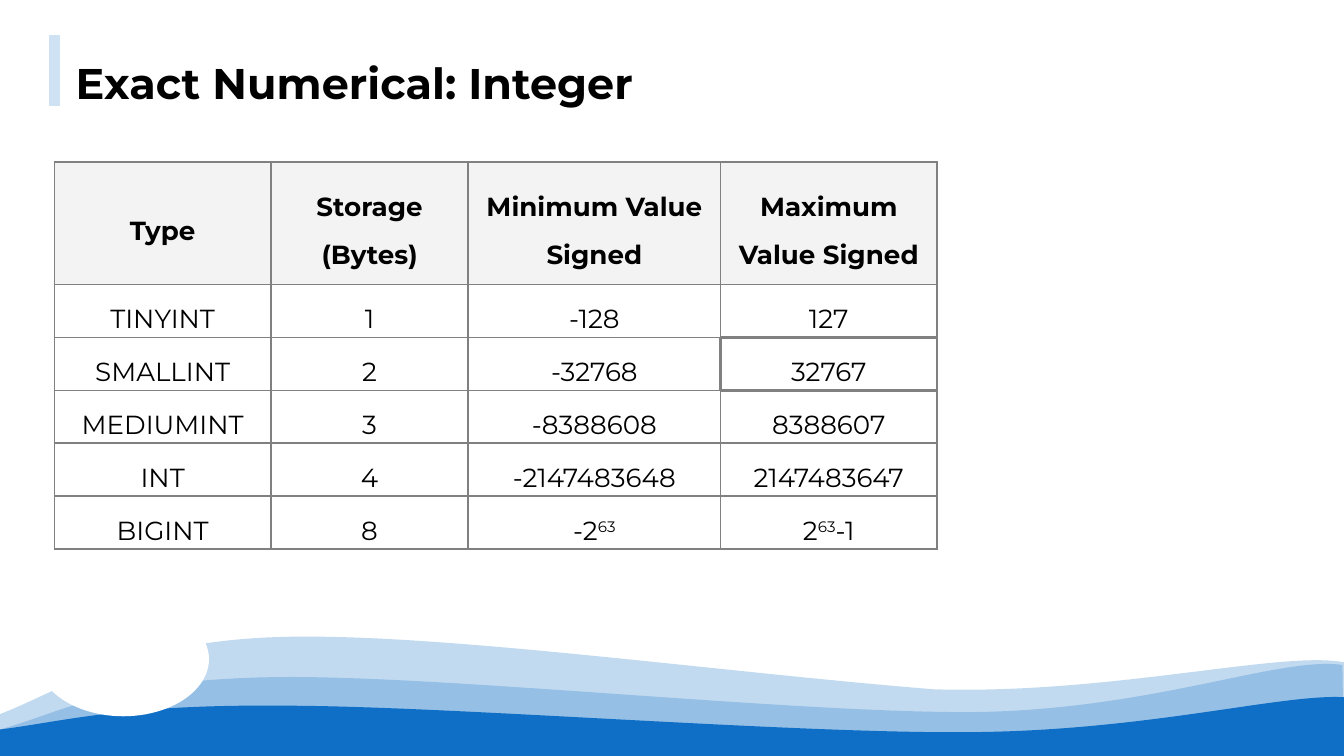
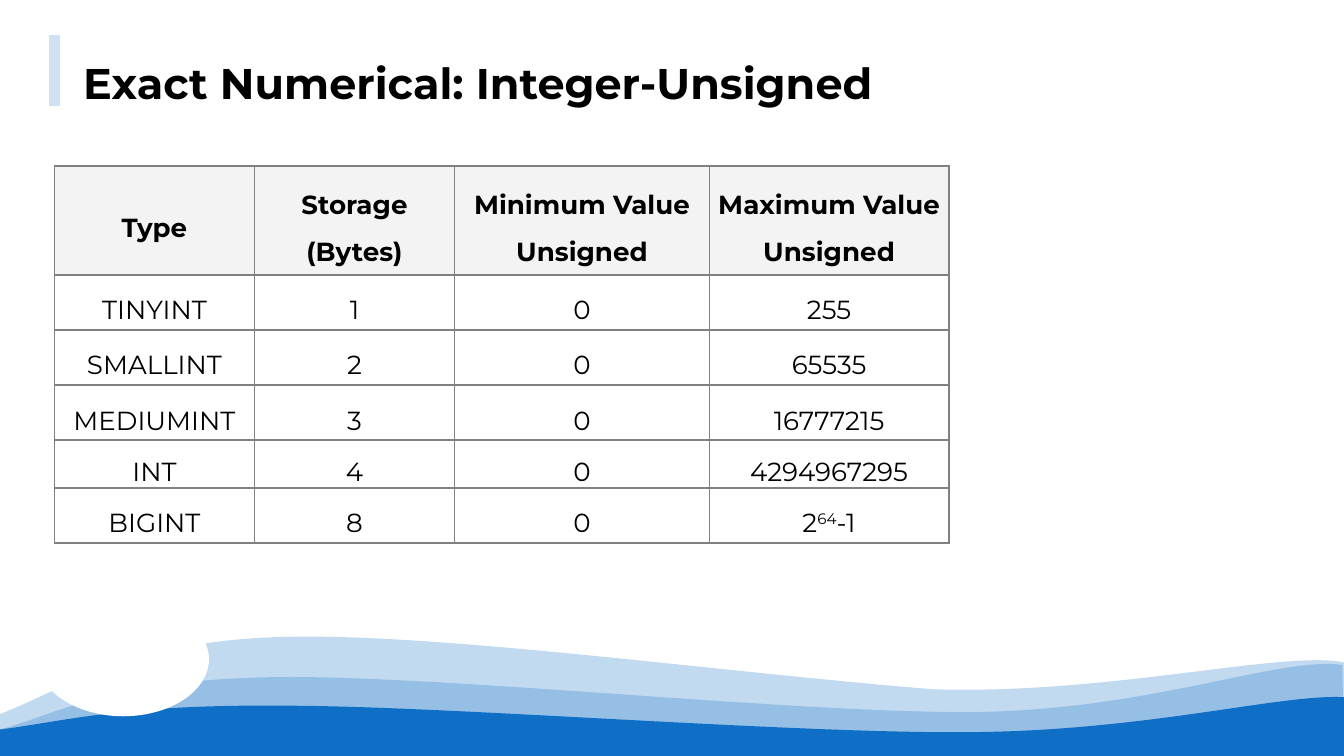
import pptx
import pptx.util
import pptx.dml.color
import pptx.enum.shapes
import pptx.enum.text
import pptx.oxml
import pptx.oxml.ns

Cm = pptx.util.Cm
Pt = pptx.util.Pt
RGB = pptx.dml.color.RGBColor
ALIGN = pptx.enum.text.PP_ALIGN
ANCHOR = pptx.enum.text.MSO_ANCHOR
SPACE = pptx.oxml.ns.nsdecls("a")
qn = pptx.oxml.ns.qn

BLACK = RGB(0x00, 0x00, 0x00)
WHITE = RGB(0xFF, 0xFF, 0xFF)
BLUE = RGB(0x0F, 0x6F, 0xC6)
PALE = RGB(0xCF, 0xE2, 0xF3)
LIGHT = RGB(0xF3, 0xF3, 0xF3)
GRAY = RGB(0x80, 0x80, 0x80)
FONT = "Montserrat"
WIDE, HIGH = 25.4, 14.29
LEFT = 1.03
THIN, HEAD, THICK = 1.02, 1.06, 1.5

WAVES = [
    (25, [(-0.03, 13.51), (1.17, 13.06), (2.39, 12.12), (5.33, 12.04),
          (8.28, 11.96), (13.54, 12.7), (17.65, 13.03),
          (21.01, 13.13), (24.23, 12.29), (25.4, 12.52)]),
    (25, [(0, 13.79), (1.19, 13.46), (2.11, 12.85), (5.18, 12.8),
          (8.26, 12.75), (15.09, 13.49), (18.44, 13.46),
          (21.82, 13.41), (24.18, 12.4), (25.37, 12.57)]),
    (100, [(0, 13.79), (1.19, 13.64), (2.31, 13.31), (5.36, 13.34),
           (8.41, 13.34), (14.99, 13.87), (18.31, 13.84),
           (21.67, 13.82), (24.23, 13.11), (25.4, 13.18)]),
]

SLIDES = [
    {
        "title": "Exact Numerical: Integer",
        "box": (1.33, 0.83, 14.45, 1.35),
        "top": 3.06,
        "cols": [4.09, 3.73, 4.77, 4.09],
        "rows": [2.32] + [1] * 5,
        "thick": (2, 3),
        "cells": [
            ("Type", "Storage (Bytes)", "Minimum Value Signed", "Maximum Value Signed"),
            ("TINYINT", "1", "-128", "127"),
            ("SMALLINT", "2", "-32768", "32767"),
            ("MEDIUMINT", "3", "-8388608", "8388607"),
            ("INT", "4", "-2147483648", "2147483647"),
            ("BIGINT", "8", "-2^63", "2^63^-1"),
        ],
    },
    {
        "title": "Exact Numerical: Integer-Unsigned",
        "box": (1.47, 0.83, 17.81, 0.99),
        "top": 3.14,
        "cols": [3.78, 3.78, 4.82, 4.52],
        "rows": [2.06, 1.04, 1.04, 1.04, 0.76, 1.04],
        "thick": None,
        "cells": [
            ("Type", "Storage (Bytes)", "Minimum Value Unsigned", "Maximum Value Unsigned"),
            ("TINYINT", "1", "0", "255"),
            ("SMALLINT", "2", "0", "65535"),
            ("MEDIUMINT", "3", "0", "16777215"),
            ("INT", "4", "0", "4294967295"),
            ("BIGINT", "8", "0", "2^64^-1"),
        ],
    },
]


def write(frame, text, size=14, bold=False, align=ALIGN.CENTER, space=1.5):
    para = frame.paragraphs[0]
    para.alignment = align
    para.line_spacing = space
    para.space_before = para.space_after = Pt(0)
    for i, part in enumerate(text.split("^")):
        run = para.add_run()
        run.text = part
        run.font.name = FONT
        run.font.size = Pt(size)
        run.font.bold = bold
        run.font.color.rgb = BLACK
        if i % 2:
            run.font._element.set("baseline", "30000")


def pad(item, side, ends):
    item.margin_left = item.margin_right = Cm(side)
    item.margin_top = item.margin_bottom = Cm(ends)


def paint(shape, color, alpha=100):
    shape.shadow.inherit = False
    shape.line.fill.background()
    shape.fill.solid()
    shape.fill.fore_color.rgb = color
    if alpha < 100:
        tone = shape._element.spPr.find(".//" + qn("a:srgbClr"))
        tone.append(pptx.oxml.parse_xml(f'<a:alpha {SPACE} val="{alpha * 1000}"/>'))


def bend(shape, knots):
    trail = shape._element.spPr.find(".//" + qn("a:path"))
    for i, line in enumerate(trail.findall(qn("a:lnTo"))[:len(knots) // 3]):
        marks = "".join(
            f'<a:pt x="{Cm(x) - shape.left}" y="{Cm(y) - shape.top}"/>'
            for x, y in knots[3 * i + 1:3 * i + 4])
        trail.replace(line, pptx.oxml.parse_xml(
            f"<a:cubicBezTo {SPACE}>{marks}</a:cubicBezTo>"))


def draw_sea(slide):
    parts = []
    for alpha, knots in WAVES:
        line = knots[::3] + [(WIDE, HIGH), (0, HIGH)]
        points = [(Cm(x), Cm(y)) for x, y in line]
        pen = slide.shapes.build_freeform(*points[0], scale=1.0)
        pen.add_line_segments(points[1:], close=True)
        wave = pen.convert_to_shape()
        bend(wave, knots)
        paint(wave, BLUE, alpha)
        parts.append(wave)
    oval = slide.shapes.add_shape(
        pptx.enum.shapes.MSO_SHAPE.OVAL, Cm(0.71), Cm(11.38), Cm(3.24), Cm(2.16))
    paint(oval, WHITE)
    tree = slide.slide_layout.shapes._spTree
    for i, part in enumerate(parts + [oval]):
        tree.insert(2 + i, part._element)


def draw_title(slide, text, box):
    title = slide.shapes.title
    title.left, title.top, title.width, title.height = map(Cm, box)
    frame = title.text_frame
    frame.word_wrap = True
    frame.auto_size = pptx.enum.text.MSO_AUTO_SIZE.NONE
    frame.vertical_anchor = ANCHOR.TOP
    pad(frame, 0.1, 0.1)
    write(frame, text, size=23, bold=True, align=ALIGN.LEFT, space=1.15)


def draw_bar(slide):
    bar = slide.shapes.add_connector(
        pptx.enum.shapes.MSO_CONNECTOR.STRAIGHT, Cm(LEFT), Cm(0.66), Cm(LEFT), Cm(2.01))
    bar.line.color.rgb = PALE
    bar.line.width = Pt(6)
    bar._element.spPr.append(pptx.oxml.parse_xml(f"<a:effectLst {SPACE}/>"))


def widths(row, col, thick):
    if row == 0:
        return {"L": HEAD, "R": HEAD, "T": HEAD, "B": THIN}
    sides = dict.fromkeys("LRTB", THIN)
    if thick:
        down, right = thick[0] - row, thick[1] - col
        near = {(0, 0): "LRTB", (0, 1): "R", (1, 0): "B", (-1, 0): "T"}
        for side in near.get((down, right), ""):
            sides[side] = THICK
    return sides


def rule(cell, sides):
    props = cell._tc.get_or_add_tcPr()
    for i, (side, width) in enumerate(sides.items()):
        props.insert(i, pptx.oxml.parse_xml(
            f'<a:ln{side} {SPACE} w="{Pt(width)}">'
            f'<a:solidFill><a:srgbClr val="{GRAY}"/></a:solidFill>'
            f'<a:prstDash val="solid"/></a:ln{side}>'))


def draw_table(slide, data):
    cols, rows = data["cols"], data["rows"]
    table = slide.shapes.add_table(
        len(rows), len(cols), Cm(LEFT), Cm(data["top"]),
        Cm(sum(cols)), Cm(sum(rows))).table
    table.first_row = table.horz_banding = False
    for col, width in zip(table.columns, cols):
        col.width = Cm(width)
    for row, height in zip(table.rows, rows):
        row.height = Cm(height)
    for r, line in enumerate(data["cells"]):
        for c, text in enumerate(line):
            cell = table.cell(r, c)
            cell.vertical_anchor = ANCHOR.MIDDLE
            pad(cell, *((0.05, 0) if r else (0.03, 0.03)))
            cell.fill.solid()
            cell.fill.fore_color.rgb = WHITE if r else LIGHT
            rule(cell, widths(r, c, data["thick"]))
            write(cell.text_frame, text, bold=r == 0)


def main():
    deck = pptx.Presentation()
    deck.slide_width, deck.slide_height = Cm(WIDE), Cm(HIGH)
    for data in SLIDES:
        slide = deck.slides.add_slide(deck.slide_layouts[5])
        if data is SLIDES[0]:
            draw_sea(slide)
        draw_title(slide, data["title"], data["box"])
        draw_table(slide, data)
        draw_bar(slide)
    deck.save("out.pptx")


if __name__ == "__main__":
    main()
